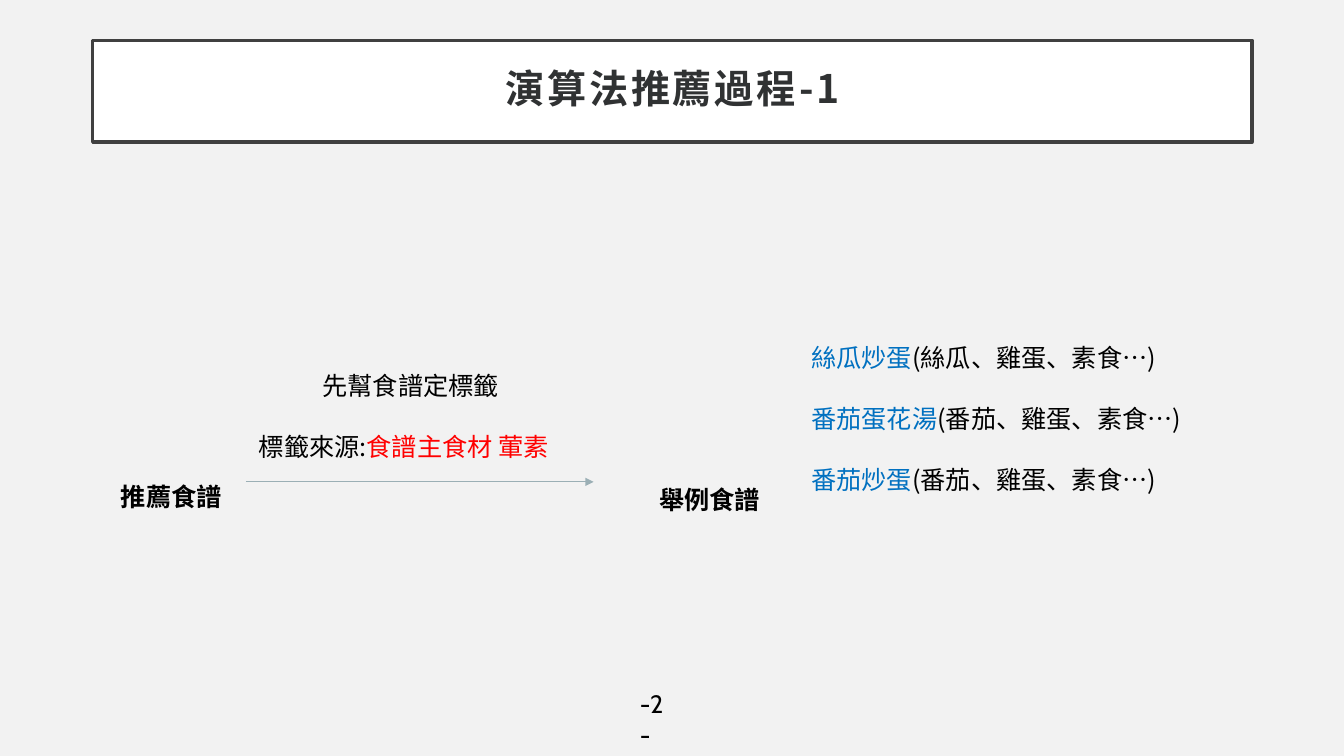
from lxml import etree
from pptx import Presentation
from pptx import util as u
from pptx.dml.color import RGBColor
from pptx.enum import shapes, text
from pptx.oxml.ns import qn

COLORS = {"background": "F2F2F2", "panel": "FFFFFF", "border": "404040",
          "title": "303233", "body": "000000", "tag": "FF0000",
          "recipe": "0070C0", "arrow": "9BAFB5"}
WIDTH, HEIGHT = u.Inches(13.33), u.Inches(7.5)
COLS, ROWS = 48, 27
CJK, LATIN = "Noto Sans CJK SC", "Cabin"
LINE = u.Pt(21.8)
CENTER, LEFT = text.PP_ALIGN.CENTER, text.PP_ALIGN.LEFT

EXAMPLES = [("絲瓜炒蛋", "(絲瓜、雞蛋、素食…)"),
            ("番茄蛋花湯", "(番茄、雞蛋、素食…)"),
            ("番茄炒蛋", "(番茄、雞蛋、素食…)")]


def color(name):
    return RGBColor.from_string(COLORS[name])


def grid(col, row):
    return int(WIDTH * col / COLS), int(HEIGHT * row / ROWS)


def add_run(p, words, name="body", size=18, bold=False, font=CJK):
    r = p.add_run()
    r.text = words
    r.font.size, r.font.bold, r.font.name = u.Pt(size), bold, font
    r.font.color.rgb = color(name)
    etree.SubElement(r._r.get_or_add_rPr(), qn("a:ea"), typeface=font)
    return r


def add_title(s, col, row, cols, rows, words):
    sp = s.shapes.add_shape(shapes.MSO_SHAPE.RECTANGLE,
                            *grid(col, row), *grid(cols, rows))
    sp.shadow.inherit = False
    sp.fill.solid()
    sp.fill.fore_color.rgb = color("panel")
    sp.line.color.rgb = color("border")
    sp.line.width = u.Pt(2.5)
    tf = sp.text_frame
    tf.word_wrap = True
    tf.vertical_anchor = text.MSO_ANCHOR.MIDDLE
    tf.margin_left = tf.margin_right = u.Inches(0.2)
    tf.margin_top = tf.margin_bottom = u.Inches(0.2)
    p = tf.paragraphs[0]
    p.alignment, p.line_spacing = CENTER, 0.9
    r = add_run(p, words, "title", 28, True)
    r._r.get_or_add_rPr().set("spc", "200")


def add_text(s, col, row, cols, rows, paragraphs, **style):
    """Each paragraph is (alignment, [(words, color name), ...])."""
    tf = s.shapes.add_textbox(*grid(col, row), *grid(cols, rows)).text_frame
    tf.word_wrap = True
    for i, (alignment, runs) in enumerate(paragraphs):
        p = tf.add_paragraph() if i else tf.paragraphs[0]
        p.alignment, p.line_spacing = alignment, LINE
        if i:
            p.space_before = LINE
        for words, name in runs:
            add_run(p, words, name, **style)


def add_arrow(s, start, end):
    line = s.shapes.add_connector(shapes.MSO_CONNECTOR.STRAIGHT,
                                  *grid(*start), *grid(*end))
    line.line.color.rgb = color("arrow")
    line.line.width = u.Pt(0.5)
    etree.SubElement(line.line._get_or_add_ln(), qn("a:tailEnd"), type="triangle")
    etree.SubElement(line._element.spPr, qn("a:effectLst"))


def main():
    prs = Presentation()
    prs.slide_width, prs.slide_height = WIDTH, HEIGHT
    s = prs.slides.add_slide(prs.slide_layouts[6])
    s.background.fill.solid()
    s.background.fill.fore_color.rgb = color("background")

    add_title(s, 3.31, 1.44, 41.4, 3.64, "演算法推薦過程-1")
    add_text(s, 3.89, 16.99, 4.46, 1.44,
             [(CENTER, [("推薦食譜", "body")])], bold=True)
    add_arrow(s, (8.78, 17.21), (21.2, 17.21))
    add_text(s, 8.89, 13.03, 11.56, 4.72,
             [(CENTER, [("先幫食譜定標籤", "body")]),
              (LEFT, [("標籤來源:", "body"), ("食譜主食材 葷素", "tag")])])
    add_text(s, 28.62, 12.02, 14.26, 5.83,
             [(LEFT, [(dish, "recipe"), (tags, "body")])
              for dish, tags in EXAMPLES])
    add_text(s, 22.82, 17.1, 5.04, 1.44,
             [(CENTER, [("舉例食譜", "body")])], bold=True)
    add_text(s, 22.5, 24.41, 1.91, 1.44,
             [(LEFT, [("-2-", "body")])], font=LATIN)
    prs.save("out.pptx")


if __name__ == "__main__":
    main()
